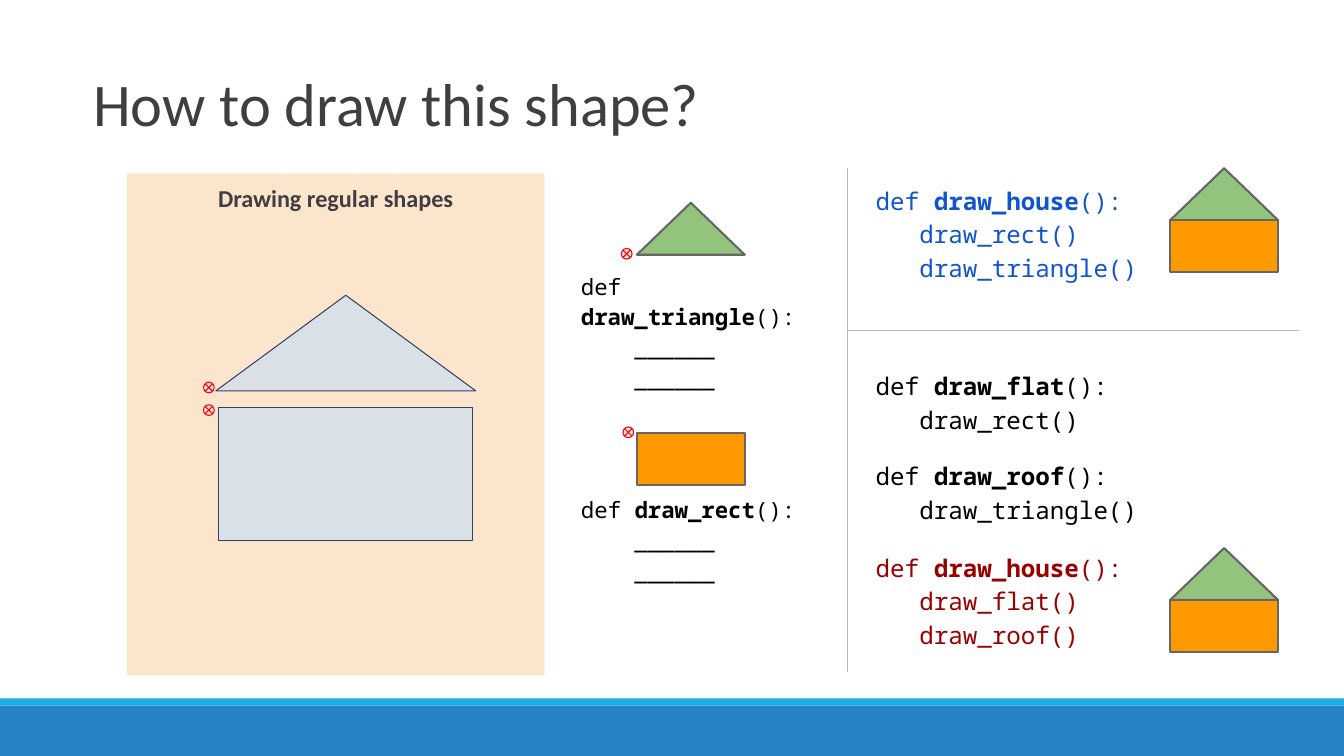
from pptx import Presentation
from pptx.dml.color import RGBColor
from pptx.enum.shapes import MSO_CONNECTOR, MSO_SHAPE
from pptx.enum.text import MSO_ANCHOR, PP_ALIGN
from pptx.oxml.ns import qn
from pptx.util import Cm, Pt
from lxml.etree import SubElement

BLUE = RGBColor(0x26, 0x83, 0xC6)
CYAN = RGBColor(0x1C, 0xAD, 0xE4)
PEACH = RGBColor(0xFC, 0xE5, 0xCD)
DARK = RGBColor(0x3F, 0x3F, 0x3F)
PALE = RGBColor(0xD9, 0xE0, 0xE6)
NAVY = RGBColor(0x34, 0x40, 0x68)
RED = RGBColor(0xFF, 0x00, 0x00)
GREEN = RGBColor(0x93, 0xC4, 0x7D)
ORANGE = RGBColor(0xFF, 0x99, 0x00)
GREY = RGBColor(0x66, 0x66, 0x66)
RULE = RGBColor(0xB7, 0xB7, 0xB7)
BLACK = RGBColor(0x00, 0x00, 0x00)
CODE_BLUE = RGBColor(0x11, 0x55, 0xCC)
CODE_RED = RGBColor(0x99, 0x00, 0x00)

PART_W, PART_H = 2.72, 1.31
MARKER = 0.27
INSET = 0.34


def add_block(s, kind, x, y, w, h, fill, line=None, width=0.75):
    """Add a filled preset shape, outlined only if a line colour is given."""
    sp = s.shapes.add_shape(kind, Cm(x), Cm(y), Cm(w), Cm(h))
    sp.shadow.inherit = False
    sp.fill.solid()
    sp.fill.fore_color.rgb = fill
    if line is None:
        sp.line.fill.background()
    else:
        sp.line.color.rgb = line
        sp.line.width = Pt(width)
    return sp


def add_roof(s, x, y):
    """Add the small green triangle."""
    add_block(s, MSO_SHAPE.ISOSCELES_TRIANGLE, x, y, PART_W, PART_H, GREEN, GREY, 1.5)


def add_wall(s, x, y):
    """Add the small orange rectangle."""
    add_block(s, MSO_SHAPE.RECTANGLE, x, y, PART_W, PART_H, ORANGE, GREY, 1.5)


def add_house(s, x, y):
    """Add a roof standing on a wall."""
    add_roof(s, x, y)
    add_wall(s, x, y + PART_H)


def add_marker(s, x, y):
    """Add a red crossed circle that marks a starting point."""
    add_block(s, MSO_SHAPE.FLOWCHART_SUMMING_JUNCTION, x, y, MARKER, MARKER, PALE, RED)


def add_rule(s, x1, y1, x2, y2):
    """Add a thin grey divider."""
    c = s.shapes.add_connector(MSO_CONNECTOR.STRAIGHT, Cm(x1), Cm(y1), Cm(x2), Cm(y2))
    c.line.color.rgb = RULE
    c.line.width = Pt(0.75)
    SubElement(c._element.spPr, qn("a:effectLst"))


def prepare_frame(sp, anchor=MSO_ANCHOR.TOP):
    """Set wrapping, insets and anchor, and return the text frame."""
    tf = sp.text_frame
    tf.word_wrap = True
    tf.vertical_anchor = anchor
    tf.margin_left = tf.margin_right = tf.margin_top = tf.margin_bottom = Cm(INSET)
    return tf


def style_paragraph(p, font, size, color, spacing):
    """Set the font and line spacing of a paragraph."""
    p.font.name = font
    p.font.size = Pt(size)
    p.font.color.rgb = color
    p.line_spacing = spacing


def add_title(s, text):
    """Add the slide title."""
    sp = s.shapes.add_textbox(Cm(2.01), Cm(1.65), Cm(21.54), Cm(2.13))
    p = prepare_frame(sp, MSO_ANCHOR.MIDDLE).paragraphs[0]
    p.text = text
    style_paragraph(p, "Calibri", 43.2, DARK, 0.85)


def add_panel(s, text):
    """Add the peach panel with its heading."""
    sp = add_block(s, MSO_SHAPE.RECTANGLE, 3.2, 4.37, 10.52, 12.65, PEACH)
    p = prepare_frame(sp).paragraphs[0]
    p.text = text
    p.alignment = PP_ALIGN.CENTER
    p.font.bold = True
    style_paragraph(p, "Calibri", 17.3, DARK, 0.9)


def add_code(s, x, y, w, name, body, size=17.3, color=BLACK, indent=1.1):
    """Add a function definition with a bold name and an indented body."""
    h = 2 * INSET + 0.86 * (len(body) + 1)
    tf = prepare_frame(s.shapes.add_textbox(Cm(x), Cm(y), Cm(w), Cm(h)))
    p = tf.paragraphs[0]
    for text, bold in (("def ", False), (name, True), ("():", False)):
        r = p.add_run()
        r.text = text
        r.font.bold = bold
    for line in body:
        p = tf.add_paragraph()
        p.text = line
        p._p.get_or_add_pPr().set("marL", str(Cm(indent)))
    for p in tf.paragraphs:
        style_paragraph(p, "Noto Sans Mono", size, color, 1.15)


def main():
    """Build the slide and save it."""
    prs = Presentation()
    prs.slide_width, prs.slide_height = Cm(33.87), Cm(19.05)
    s = prs.slides.add_slide(prs.slide_layouts[6])

    add_block(s, MSO_SHAPE.RECTANGLE, 0, 17.78, 33.87, 1.27, BLUE)
    add_block(s, MSO_SHAPE.RECTANGLE, 0, 17.6, 33.87, 0.18, CYAN)
    add_panel(s, "Drawing regular shapes")
    add_title(s, "How to draw this shape?")

    add_block(s, MSO_SHAPE.ISOSCELES_TRIANGLE, 5.44, 7.44, 6.55, 2.41, PALE, NAVY)
    add_block(s, MSO_SHAPE.RECTANGLE, 5.51, 10.27, 6.4, 3.35, PALE, NAVY)
    add_roof(s, 16.05, 5.11)
    add_wall(s, 16.05, 10.91)
    for x, y in ((5.13, 10.2), (5.13, 9.63), (15.7, 10.76), (15.66, 6.26)):
        add_marker(s, x, y)

    blanks = ["______"] * 2
    for name, y in (("draw_triangle", 6.43), ("draw_rect", 12.07)):
        add_code(s, 14.3, y, 6.96, name, blanks, size=16, indent=1.35)

    add_rule(s, 21.36, 4.24, 21.36, 16.94)
    add_rule(s, 21.36, 8.33, 32.74, 8.33)
    for name, y, body, color in (
        ("draw_house", 4.24, ["draw_rect()", "draw_triangle()"], CODE_BLUE),
        ("draw_flat", 8.92, ["draw_rect()"], BLACK),
        ("draw_roof", 11.18, ["draw_triangle()"], BLACK),
        ("draw_house", 13.49, ["draw_flat()", "draw_roof()"], CODE_RED),
    ):
        add_code(s, 21.73, y, 7.52, name, body, color=color)
    for y in (4.24, 13.81):
        add_house(s, 29.49, y)

    prs.save("out.pptx")


if __name__ == "__main__":
    main()
